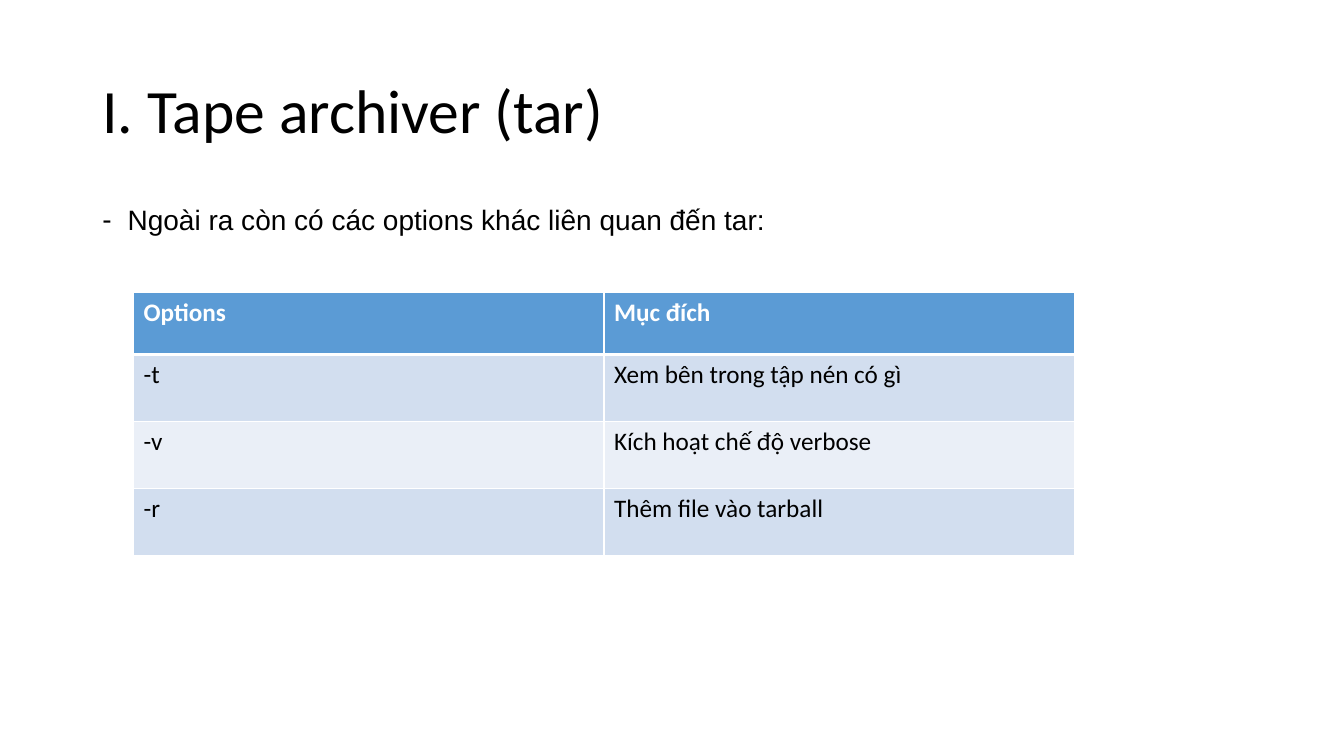
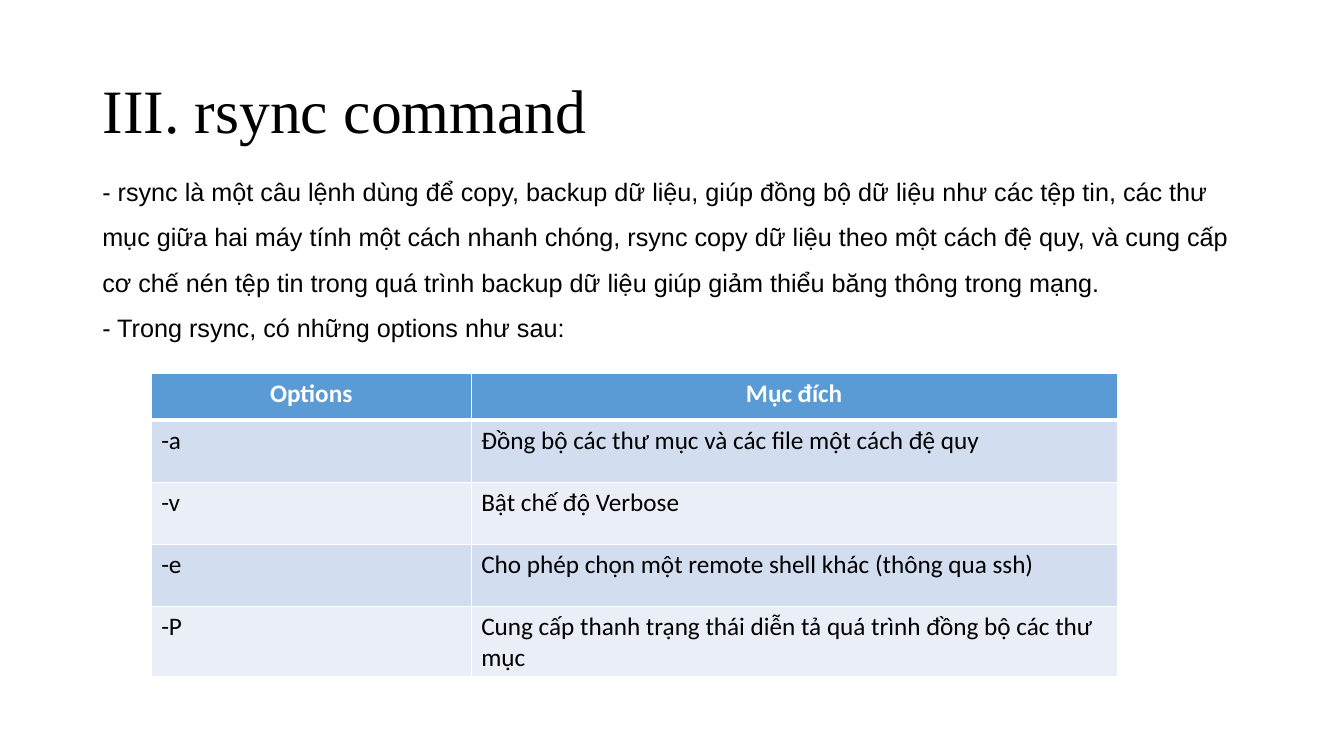
from dataclasses import dataclass

from lxml import etree
from pptx import Presentation
from pptx.dml.color import RGBColor
from pptx.enum.text import MSO_ANCHOR, MSO_AUTO_SIZE, PP_ALIGN
from pptx.oxml.ns import qn
from pptx.util import Emu, Inches, Pt

LEFT, CENTER = PP_ALIGN.LEFT, PP_ALIGN.CENTER
MIDDLE = MSO_ANCHOR.MIDDLE
NO_AUTOFIT = MSO_AUTO_SIZE.NONE

SLIDE_WIDTH, SLIDE_HEIGHT = Inches(13.33), Inches(7.5)
GRID_COLUMNS, GRID_ROWS = 160, 90


@dataclass(frozen=True)
class Theme:
    text: str = "000000"
    header_text: str = "FFFFFF"
    header_fill: str = "5B9BD5"
    bands: tuple[str, str] = ("D2DEEF", "EAEFF7")
    border: str = "FFFFFF"
    thin_border: float = 1
    thick_border: float = 3
    title_size: int = 44
    table_size: int = 18
    table_font: str = "Calibri"
    body_font: str = "Arial"


THEME = Theme()


@dataclass(frozen=True)
class Box:
    """Position and size in grid columns and rows."""
    column: float
    row: float
    columns: float
    rows: float

    def emu(self) -> tuple[Emu, Emu, Emu, Emu]:
        return across(self.column), down(self.row), across(self.columns), down(self.rows)


@dataclass(frozen=True)
class Body:
    box: Box
    paragraphs: tuple[str, ...]
    size: int
    line_spacing: float
    space_before: float = 0
    bullet: str = ""


@dataclass(frozen=True)
class OptionTable:
    column: float
    row: float
    column_widths: tuple[float, float]
    header_height: float
    row_height: float
    header_align: PP_ALIGN
    options: tuple[tuple[str, str], ...]


@dataclass(frozen=True)
class Topic:
    title: str
    title_font: str
    body: Body
    table: OptionTable


TITLE_BOX = Box(11, 4.8, 138, 17.4)
BULLET_INDENT = 3
TABLE_HEADER = ("Options", "Mục đích")

TOPICS = (
    Topic(
        "I. Tape archiver (tar)", "Calibri",
        Body(Box(11, 24, 138, 57),
             ("Ngoài ra còn có các options khác liên quan đến tar:",),
             size=20, line_spacing=0.9, space_before=10, bullet="-"),
        OptionTable(15.9, 34.8, (56, 56), 7.4, 8, LEFT, (
            ("-t", "Xem bên trong tập nén có gì"),
            ("-v", "Kích hoạt chế độ verbose"),
            ("-r", "Thêm file vào tarball"),
        )),
    ),
    Topic(
        "III. rsync command", "Times New Roman",
        Body(Box(11, 18.6, 139, 22.3),
             ("- rsync là một câu lệnh dùng để copy, backup dữ liệu, giúp đồng bộ dữ liệu "
              "như các tệp tin, các thư mục giữa hai máy tính một cách nhanh chóng, rsync "
              "copy dữ liệu theo một cách đệ quy, và cung cấp cơ chế nén tệp tin trong quá "
              "trình backup dữ liệu giúp giảm thiểu băng thông trong mạng.",
              "- Trong rsync, có những options như sau:"),
             size=18, line_spacing=1.5),
        OptionTable(18, 44.4, (38.1, 76.9), 5.6, 7.4, CENTER, (
            ("-a", "Đồng bộ các thư mục và các file một cách đệ quy"),
            ("-v", "Bật chế độ Verbose"),
            ("-e", "Cho phép chọn một remote shell khác (thông qua ssh)"),
            ("-P", "Cung cấp thanh trạng thái diễn tả quá trình đồng bộ các thư mục"),
        )),
    ),
)


def across(columns: float) -> Emu:
    return Emu(round(SLIDE_WIDTH * columns / GRID_COLUMNS))


def down(rows: float) -> Emu:
    return Emu(round(SLIDE_HEIGHT * rows / GRID_ROWS))


def add_run(paragraph, text: str, font: str, size: int,
            color: str = THEME.text, bold: bool = False) -> None:
    run = paragraph.add_run()
    run.text = text
    run.font.name = font
    run.font.size = Pt(size)
    run.font.bold = bold
    run.font.color.rgb = RGBColor.from_string(color)


def set_bullet(paragraph, symbol: str) -> None:
    properties = paragraph._p.get_or_add_pPr()
    indent = across(BULLET_INDENT)
    properties.set("marL", str(indent))
    properties.set("indent", str(-indent))
    etree.SubElement(properties, qn("a:buFont")).set("typeface", THEME.body_font)
    etree.SubElement(properties, qn("a:buChar")).set("char", symbol)


def set_borders(cell, top: float, bottom: float) -> None:
    """Put the border lines before the fill, as the schema orders them."""
    properties = cell._tc.get_or_add_tcPr()
    widths = {"lnL": THEME.thin_border, "lnR": THEME.thin_border,
              "lnT": top, "lnB": bottom}
    for position, (side, width) in enumerate(widths.items()):
        line = etree.Element(qn(f"a:{side}"), w=str(Pt(width)))
        fill = etree.SubElement(line, qn("a:solidFill"))
        etree.SubElement(fill, qn("a:srgbClr")).set("val", THEME.border)
        properties.insert(position, line)


def format_title(slide, topic: Topic) -> None:
    title = slide.shapes.title
    title.left, title.top, title.width, title.height = TITLE_BOX.emu()
    frame = title.text_frame
    frame.auto_size = NO_AUTOFIT
    frame.vertical_anchor = MIDDLE
    paragraph = frame.paragraphs[0]
    paragraph.alignment = LEFT
    paragraph.line_spacing = 0.9
    add_run(paragraph, topic.title, topic.title_font, THEME.title_size)


def add_body(slide, body: Body) -> None:
    frame = slide.shapes.add_textbox(*body.box.emu()).text_frame
    frame.word_wrap = True
    for index, text in enumerate(body.paragraphs):
        paragraph = frame.add_paragraph() if index else frame.paragraphs[0]
        paragraph.line_spacing = body.line_spacing
        paragraph.space_before = Pt(body.space_before)
        if body.bullet:
            set_bullet(paragraph, body.bullet)
        add_run(paragraph, text, THEME.body_font, body.size)


def add_option_table(slide, content: OptionTable) -> None:
    rows = (TABLE_HEADER, *content.options)
    heights = (content.header_height, *[content.row_height] * len(content.options))
    box = Box(content.column, content.row, sum(content.column_widths), sum(heights))
    table = slide.shapes.add_table(len(rows), len(TABLE_HEADER), *box.emu()).table
    for column, width in zip(table.columns, content.column_widths):
        column.width = across(width)
    for row_index, (texts, height) in enumerate(zip(rows, heights)):
        table.rows[row_index].height = down(height)
        is_header = row_index == 0
        fill = THEME.header_fill if is_header else THEME.bands[(row_index - 1) % 2]
        color = THEME.header_text if is_header else THEME.text
        top = THEME.thick_border if row_index == 1 else THEME.thin_border
        bottom = THEME.thick_border if is_header else THEME.thin_border
        for column_index, text in enumerate(texts):
            cell = table.cell(row_index, column_index)
            cell.fill.solid()
            cell.fill.fore_color.rgb = RGBColor.from_string(fill)
            set_borders(cell, top, bottom)
            paragraph = cell.text_frame.paragraphs[0]
            paragraph.alignment = content.header_align if is_header else LEFT
            add_run(paragraph, text, THEME.table_font, THEME.table_size, color, is_header)


def main() -> None:
    presentation = Presentation()
    presentation.slide_width, presentation.slide_height = SLIDE_WIDTH, SLIDE_HEIGHT
    title_only = presentation.slide_layouts.get_by_name("Title Only")
    for topic in TOPICS:
        slide = presentation.slides.add_slide(title_only)
        format_title(slide, topic)
        add_body(slide, topic.body)
        add_option_table(slide, topic.table)
    presentation.save("out.pptx")


if __name__ == "__main__":
    main()
